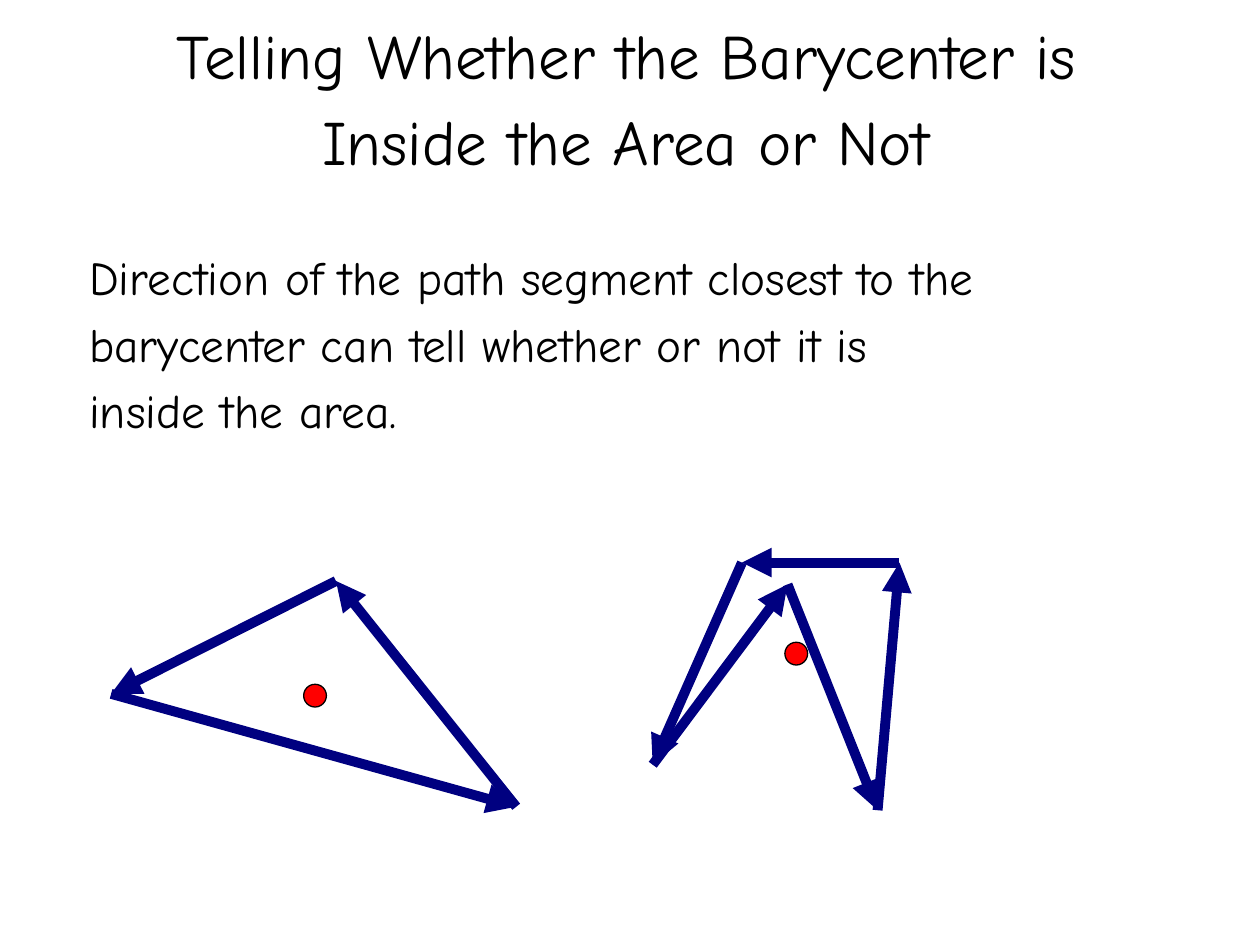
from dataclasses import dataclass

from lxml.etree import SubElement
from pptx import Presentation
from pptx.dml.color import RGBColor
from pptx.enum.shapes import MSO_CONNECTOR as Connector, MSO_SHAPE as Preset
from pptx.enum.text import MSO_ANCHOR as Anchor, MSO_AUTO_SIZE as AutoSize, PP_ALIGN as Align
from pptx.oxml.ns import qn
from pptx.util import Pt

FONT = "Comic Neue"
BLACK, RED, NAVY = "000000", "FF0000", "000080"
DOT_SIZE = 13
Point = tuple[float, float]


@dataclass
class ClosedPath:
    vertices: list[Point]
    barycenter: Point


PATHS = [
    ClosedPath([(295, 461), (192, 332), (63.5, 396.5)], (180, 397.5)),
    ClosedPath(
        [(501.5, 463), (514, 321.5), (424, 321.5), (373, 437), (450, 334)],
        (455, 373.5),
    ),
]


def color(value: str) -> RGBColor:
    return RGBColor.from_string(value)


def fill_text(shape, text: str, *, box, size, spacing, align, margins=None) -> None:
    shape.left, shape.top, shape.width, shape.height = map(Pt, box)
    frame = shape.text_frame
    frame.text = text
    frame.word_wrap = True
    frame.auto_size = AutoSize.NONE
    frame.vertical_anchor = Anchor.MIDDLE
    if margins is not None:
        frame.margin_left = frame.margin_right = Pt(margins)
        frame.margin_top = frame.margin_bottom = Pt(margins)
    for paragraph in frame.paragraphs:
        properties = paragraph._p.get_or_add_pPr()
        properties.set("marL", "0")
        properties.set("indent", "0")
        SubElement(properties, qn("a:buNone"))
        paragraph.alignment = align
        paragraph.line_spacing = spacing
        paragraph.space_before = Pt(0)
        for run in paragraph.runs:
            run.font.name = FONT
            run.font.size = Pt(size)
            run.font.color.rgb = color(BLACK)


def draw_dot(slide, center: Point) -> None:
    x, y = center
    dot = slide.shapes.add_shape(
        Preset.OVAL, Pt(x - DOT_SIZE / 2), Pt(y - DOT_SIZE / 2), Pt(DOT_SIZE), Pt(DOT_SIZE)
    )
    dot.shadow.inherit = False
    dot.fill.solid()
    dot.fill.fore_color.rgb = color(RED)
    dot.line.color.rgb = color(BLACK)
    dot.line.width = Pt(0.75)


def draw_arrow(slide, start: Point, end: Point) -> None:
    arrow = slide.shapes.add_connector(Connector.STRAIGHT, *map(Pt, (*start, *end)))
    arrow.line.color.rgb = color(NAVY)
    arrow.line.width = Pt(5.67)
    SubElement(arrow.line._get_or_add_ln(), qn("a:tailEnd"), type="triangle")
    SubElement(arrow._element.spPr, qn("a:effectLst"))


def draw_path(slide, path: ClosedPath) -> None:
    draw_dot(slide, path.barycenter)
    following = path.vertices[1:] + path.vertices[:1]
    for start, end in zip(path.vertices, following):
        draw_arrow(slide, start, end)


def main() -> None:
    presentation = Presentation()
    presentation.slide_width, presentation.slide_height = Pt(720), Pt(540)
    slide = presentation.slides.add_slide(presentation.slide_layouts[1])
    fill_text(
        slide.shapes.title,
        "Telling Whether the Barycenter is\vInside the Area or Not",
        box=(34.5, 2, 646.5, 101.5), size=36, spacing=1.14, align=Align.CENTER,
    )
    fill_text(
        slide.placeholders[1],
        "Direction of the path segment closest to the\n"
        "barycenter can tell whether or not it is\n"
        "inside the area.",
        box=(51, 129, 641, 129), size=27, spacing=1.17, align=Align.LEFT, margins=0,
    )
    for path in PATHS:
        draw_path(slide, path)
    presentation.save("out.pptx")


if __name__ == "__main__":
    main()
